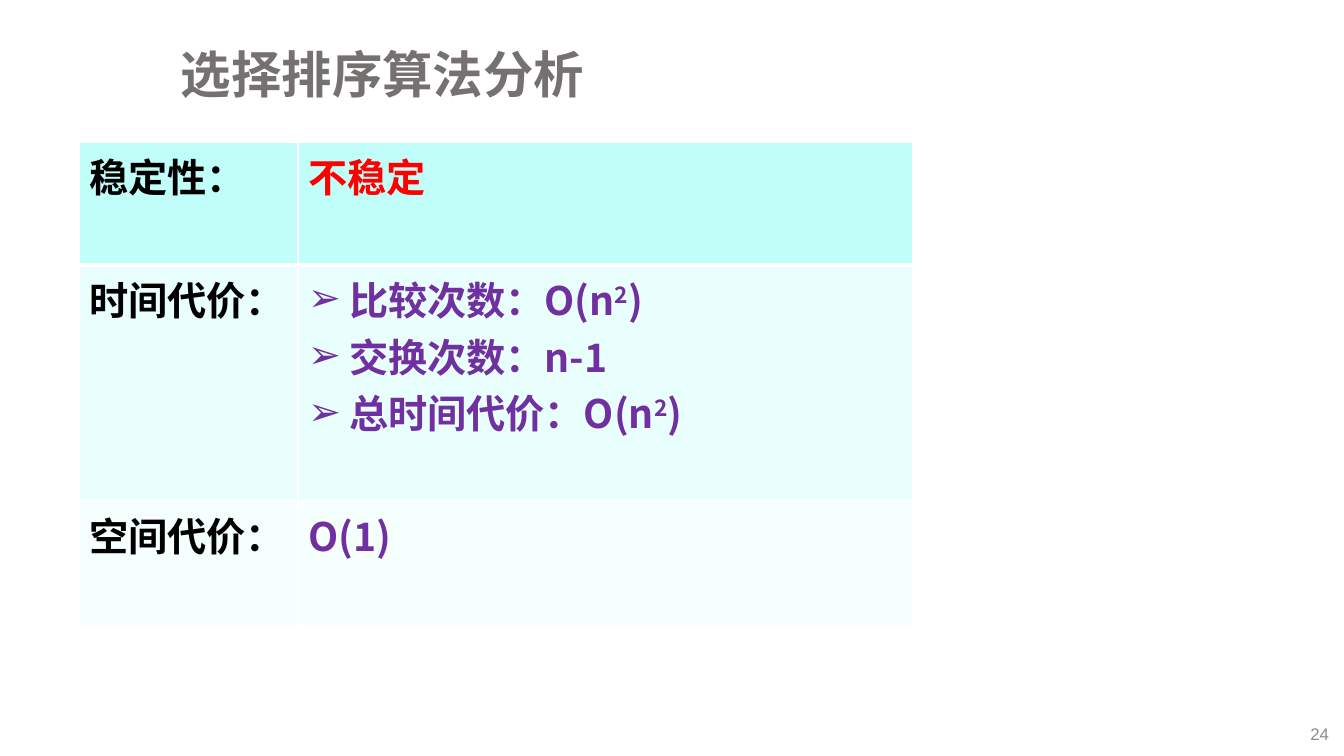
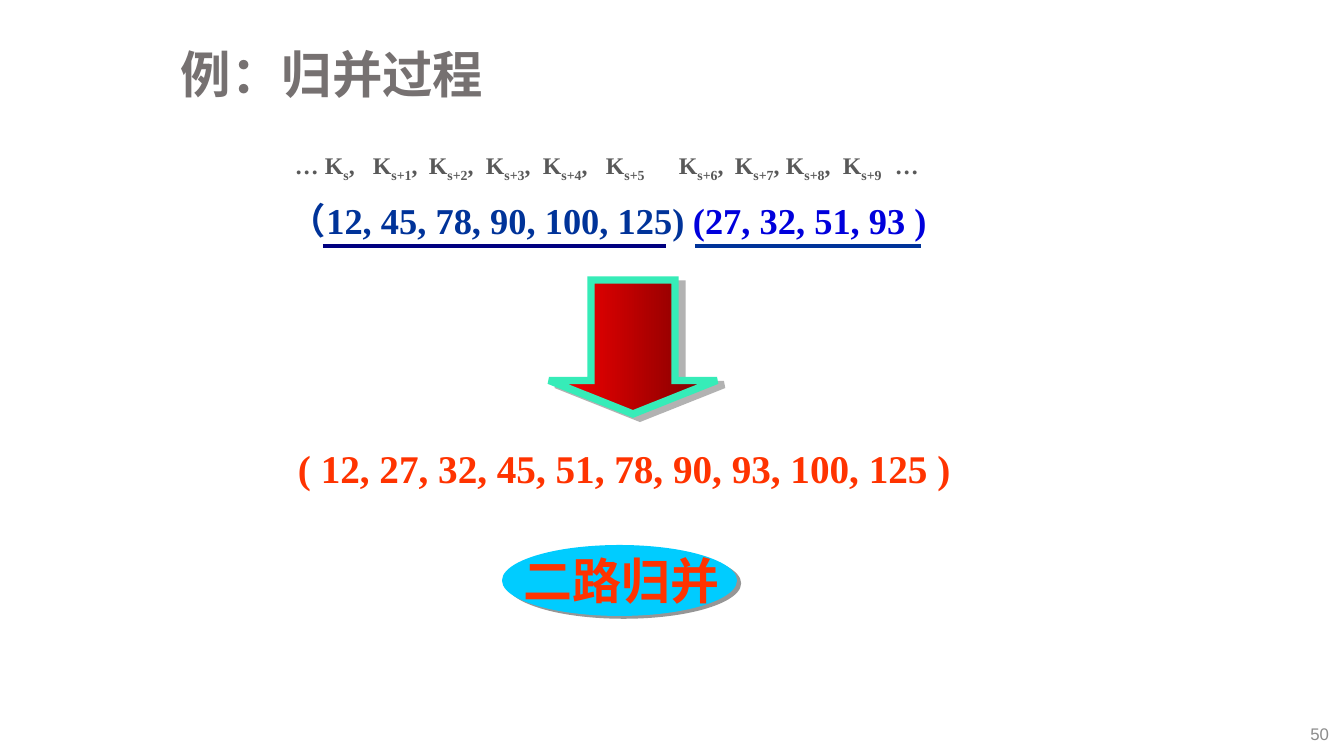
"""Build two slides on selection sort costs and two-way merging."""
from dataclasses import dataclass

from lxml.etree import SubElement
from pptx import Presentation
from pptx.dml.color import RGBColor
from pptx.enum.shapes import MSO_CONNECTOR, MSO_SHAPE
from pptx.enum.text import MSO_ANCHOR, PP_ALIGN
from pptx.oxml.ns import qn
from pptx.util import Pt

PX = 9071
LINE = MSO_CONNECTOR.STRAIGHT
ARROW, OVAL = MSO_SHAPE.DOWN_ARROW, MSO_SHAPE.OVAL
MIDDLE, TOP = MSO_ANCHOR.MIDDLE, MSO_ANCHOR.TOP
LEFT, RIGHT = PP_ALIGN.LEFT, PP_ALIGN.RIGHT


@dataclass(frozen=True)
class Theme:
    sans: str = "Arial"
    narrow: str = "Arial Narrow"
    hei: str = "Noto Sans CJK SC"
    serif: str = "Times New Roman"
    title: str = "767171"
    page: str = "8C8C8C"
    black: str = "000000"
    white: str = "FFFFFF"
    red: str = "FF0000"
    maroon: str = "760000"
    purple: str = "7030A0"
    navy: str = "000080"
    blue: str = "003399"
    vivid: str = "0000DC"
    orange: str = "FF3300"
    cyan: str = "00CCFF"
    mint: str = "36ECB8"
    label: str = "595959"
    shade: str = "B2B2B2"
    dusk: str = "969696"
    rows: tuple = ("C1FEF9", "E9FFFD", "F4FFFE")
    head: int = 36
    badge: int = 35
    body: int = 28
    list: int = 26
    key: int = 17
    foot: int = 12


T = Theme()


def node(parent, tag, **attrs):
    return SubElement(parent, qn("a:" + tag), {k: str(v) for k, v in attrs.items()})


def write(host, text, box=None, size=T.body, color=T.black, font=T.sans, bold=True,
          align=LEFT, anchor=TOP, space=None, base=0, bullet=None, tabs=(), glow=None):
    if box:
        host = host.add_textbox(*[n * PX for n in box])
        host.text_frame.word_wrap = True
        host.text_frame.vertical_anchor = anchor
    frame = host.text_frame
    for i, line in enumerate(text.split("\n")):
        par = frame.add_paragraph() if i else frame.paragraphs[0]
        par.alignment, par.line_spacing = align, space
        props = par._p.get_or_add_pPr()
        if bullet:
            props.set("marL", str(41 * PX))
            props.set("indent", str(-41 * PX))
            node(props, "buFont", typeface=T.sans)
            node(props, "buChar", char=bullet)
        if tabs:
            stops = node(props, "tabLst")
            for x in tabs:
                node(stops, "tab", pos=x * PX, algn="l")
        for j, part in enumerate(line.split("|")):
            run = par.add_run()
            run.text = part
            run.font.size, run.font.bold = Pt(size), bold
            run.font.color.rgb = RGBColor.from_string(color)
            look = run._r.get_or_add_rPr()
            if j % 2:
                look.set("baseline", str(base * 1000))
            if glow:
                cast = node(node(look, "effectLst"), "outerShdw", dist=25400, dir=2700000)
                node(cast, "srgbClr", val=glow)
            node(look, "latin", typeface=font)
            node(look, "ea", typeface=T.hei)


deck = Presentation()
deck.slide_width, deck.slide_height = 1344 * PX, 756 * PX
pages = []
for title, page in (("选择排序算法分析", "24"), ("例：归并过程", "50")):
    shapes = deck.slides.add_slide(deck.slide_layouts[6]).shapes
    write(shapes, title, (171, 34, 1134, 86), size=T.head, color=T.title,
          anchor=MIDDLE, space=0.9)
    write(shapes, page, (1037, 718, 302, 31), size=T.foot, color=T.page,
          bold=False, align=RIGHT, anchor=MIDDLE)
    pages.append(shapes)
costs, merge = pages

table = costs.add_table(3, 2, 79 * PX, 142 * PX, 834 * PX, 484 * PX).table
table.first_row = table.horz_banding = False
for col, width in zip(table.columns, (219, 615)):
    col.width = width * PX
steps = "比较次数：O(n|2|)\n交换次数：n-1\n总时间代价：O(n|2|)"
facts = (
    (123, "稳定性：", "不稳定", T.red, None),
    (236, "时间代价：", steps, T.purple, "➢"),
    (125, "空间代价：", "O(1)", T.purple, None),
)
for r, (height, name, value, color, bullet) in enumerate(facts):
    table.rows[r].height = height * PX
    for cell in table.rows[r].cells:
        props = cell._tc.get_or_add_tcPr()
        for side in "LRTB":
            thick = (r, side) in ((0, "B"), (1, "T"))
            edge = node(props, "ln" + side, w=Pt(3 if thick else 1))
            node(node(edge, "solidFill"), "srgbClr", val=T.white)
        cell.fill.solid()
        cell.fill.fore_color.rgb = RGBColor.from_string(T.rows[r])
    write(table.cell(r, 0), name, font=T.narrow)
    write(table.cell(r, 1), value, color=color, font=T.hei, base=30, bullet=bullet)

for text, box, size, color in (
    ("（12, 45, 78, 90, 100, 125)", (280, 193, 446, 53), T.list, T.blue),
    ("(27, 32, 51, 93 )", (683, 193, 294, 53), T.list, T.vivid),
    ("( 12, 27, 32, 45, 51, 78, 90, 93, 100, 125 )", (288, 439, 701, 57), T.body, T.orange),
):
    write(merge, text, box, size=size, color=color, font=T.serif)

keys = ["K|s|,"] + [f"K|s+{n}|" + ("" if n in (5, 9) else ",") for n in range(1, 10)]
write(merge, "\t".join(["…", *keys, "…"]), (285, 146, 738, 38), size=T.key,
      color=T.label, font=T.serif, base=-25,
      tabs=(30, 78, 134, 191, 248, 311, 384, 440, 491, 548, 600))

for start, end, color in ((323, 666, T.navy), (695, 921, T.blue)):
    rule = merge.add_connector(LINE, start * PX, 246 * PX, end * PX, 246 * PX)
    rule.line.width = Pt(2.5)
    rule.line.color.rgb = RGBColor.from_string(color)
    node(rule._element.spPr, "effectLst")

arrow = merge.add_shape(ARROW, 549 * PX, 280 * PX, 168 * PX, 134 * PX)
arrow.adjustments[0], arrow.adjustments[1] = 0.5, 0.25
arrow.fill.gradient()
arrow.fill.gradient_angle = 0
for stop, color, spot in zip(arrow.fill.gradient_stops, (T.red, T.maroon), (0, 1)):
    stop.color.rgb = RGBColor.from_string(color)
    stop.position = spot
arrow.line.width = Pt(5.25)
arrow.line.color.rgb = RGBColor.from_string(T.mint)
node(arrow.line._get_or_add_ln(), "miter", lim=800000)

badge = merge.add_group_shape().shapes
oval = badge.add_shape(OVAL, 502 * PX, 545 * PX, 235 * PX, 71 * PX)
oval.fill.solid()
oval.fill.fore_color.rgb = RGBColor.from_string(T.cyan)
oval.line.fill.background()
write(badge, "二路归并", (514, 546, 285, 69), size=T.badge, color=T.orange,
      font=T.hei, glow=T.black)

for shape, color, dist, angle in ((arrow, T.shade, 5.8, 31), (oval, T.dusk, 3.6, 34)):
    shape.shadow.inherit = False
    effect = shape._element.spPr.find(qn("a:effectLst"))
    cast = node(effect, "outerShdw", dist=Pt(dist), dir=angle * 60000, algn="ctr", rotWithShape=0)
    node(cast, "srgbClr", val=color)

deck.save("out.pptx")
